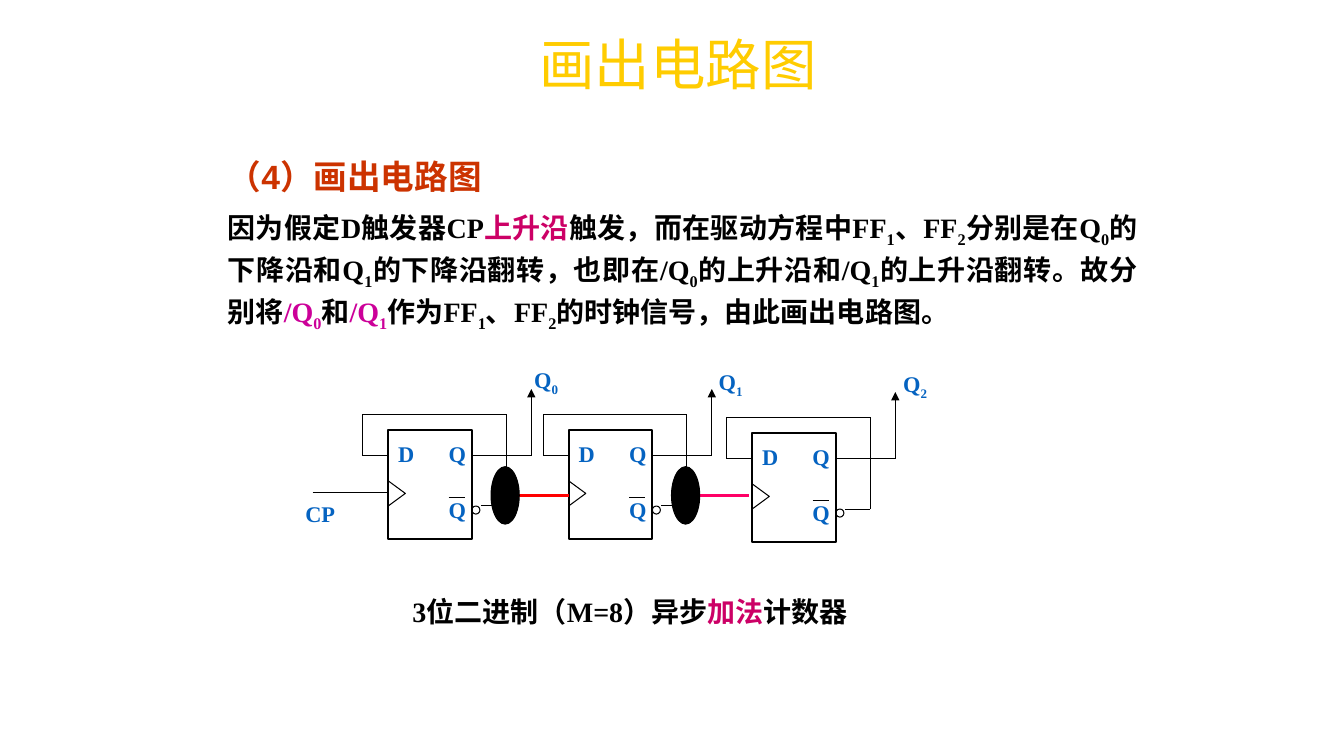
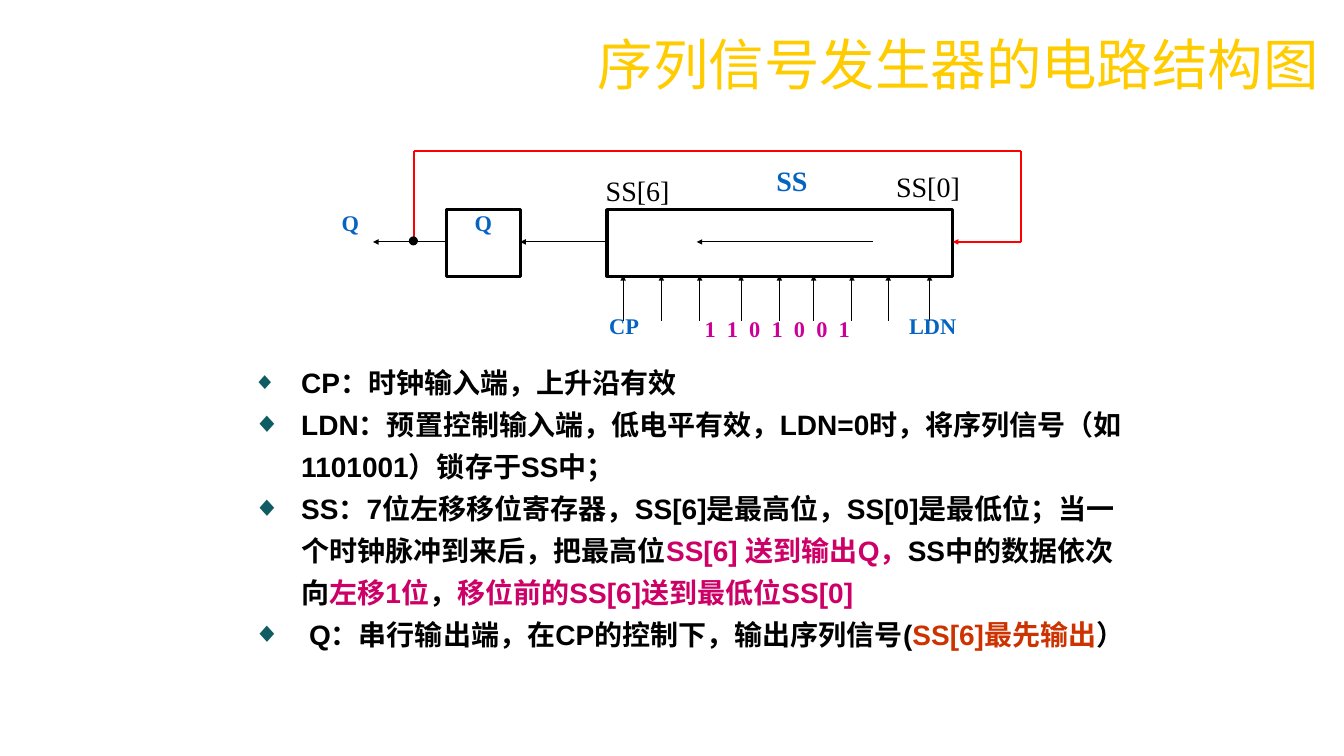
"""Build two slides on counters and sequence generators."""
import itertools

import lxml.etree
import pptx
import pptx.dml.color
import pptx.enum.shapes
import pptx.enum.text
import pptx.oxml.ns
import pptx.util

Inches = pptx.util.Inches
Pt = pptx.util.Pt
RGBColor = pptx.dml.color.RGBColor
Align = pptx.enum.text.PP_ALIGN
Anchor = pptx.enum.text.MSO_ANCHOR
Shape = pptx.enum.shapes.MSO_SHAPE
qn = pptx.oxml.ns.qn

GOLD = RGBColor(0xFF, 0xCC, 0x00)
BLACK = RGBColor(0x00, 0x00, 0x00)
WHITE = RGBColor(0xFF, 0xFF, 0xFF)
BLUE = RGBColor(0x05, 0x63, 0xC1)
RED = RGBColor(0xFF, 0x00, 0x00)
ROSE = RGBColor(0xFF, 0x00, 0x66)
RUST = RGBColor(0xCC, 0x33, 0x00)
PINK = RGBColor(0xCC, 0x00, 0x66)
PURPLE = RGBColor(0xCC, 0x00, 0x99)
SANS = "Arial"
SERIF = "Times New Roman"


def add(parent, tag, **attrs):
    node = lxml.etree.SubElement(parent, qn(tag))
    for key, value in attrs.items():
        node.set(key, value)
    return node


def write(par, text, size=16, color=BLUE, font=SERIF, bold=True, gap=None):
    """Write text in a paragraph, lowering the digit after each underscore."""
    head, *rest = text.split("_")
    parts = [(head, False)]
    for part in rest:
        parts += [(part[0], True), (part[1:], False)]
    for part, low in parts:
        if not part:
            continue
        run = par.add_run()
        run.text = part
        run.font.size = Pt(size)
        run.font.name = font
        run.font.bold = bold
        run.font.color.rgb = color
        props = run._r.get_or_add_rPr()
        if low:
            props.set("baseline", "-25000")
        if gap:
            props.set("spc", str(gap * 100))


class Deck:
    """Hold the style and the current slide."""

    def __init__(self):
        self.prs = pptx.Presentation()
        self.prs.slide_width = Inches(13.33)
        self.prs.slide_height = Inches(7.5)
        self.slide = None

    def start(self, title, left):
        self.slide = self.prs.slides.add_slide(self.prs.slide_layouts[5])
        shape = self.slide.shapes.title
        shape.left, shape.top = Inches(left), Inches(0.33)
        shape.width, shape.height = Inches(13.33 - left), Inches(0.67)
        frame = shape.text_frame
        frame.auto_size = pptx.enum.text.MSO_AUTO_SIZE.NONE
        frame.vertical_anchor = Anchor.MIDDLE
        par = frame.paragraphs[0]
        self.layout(par, Align.LEFT, 0.9)
        write(par, title, size=39.6, color=GOLD, font=SANS, bold=False)

    def layout(self, par, align, lead, before=0):
        par.alignment = align
        par.line_spacing = lead
        par.space_before = Pt(before)

    def frame(self, left, top, width, height):
        box = self.slide.shapes.add_textbox(
            Inches(left), Inches(top), Inches(width), Inches(height))
        box.text_frame.word_wrap = True
        return box.text_frame

    def label(self, text, left, top, width, height=0.34,
              align=Align.LEFT, lead=0.9, **style):
        par = self.frame(left, top, width, height).paragraphs[0]
        self.layout(par, align, lead)
        write(par, text, **style)

    def runs(self, par, runs, **style):
        for text, color in runs:
            write(par, text, color=color, **style)

    def bullet(self, par, scale):
        props = par._p.get_or_add_pPr()
        props.set("marL", str(Inches(0.48)))
        props.set("indent", str(-Inches(0.48)))
        add(add(props, "a:buClr"), "a:srgbClr", val="0F5C62")
        add(props, "a:buSzPct", val=str(scale * 1000))
        add(props, "a:buFont", typeface=SANS)
        add(props, "a:buChar", char="◆")

    def shape(self, kind, left, top, width, height, line=0.75, fill=None):
        item = self.slide.shapes.add_shape(
            kind, Inches(left), Inches(top), Inches(width), Inches(height))
        item.shadow.inherit = False
        item.line.color.rgb = BLACK
        item.line.width = Pt(line)
        if fill is None:
            item.fill.background()
        else:
            item.fill.solid()
            item.fill.fore_color.rgb = fill
        return item

    def wire(self, *points, color=BLACK, width=0.75, arrow=None):
        """Join the points with lines; arrow sets the size of the end head."""
        for start, end in itertools.pairwise(points):
            item = self.slide.shapes.add_connector(
                pptx.enum.shapes.MSO_CONNECTOR.STRAIGHT,
                *(Inches(value) for value in (*start, *end)))
            item.line.color.rgb = color
            item.line.width = Pt(width)
            if arrow and end == points[-1]:
                add(item.line._get_or_add_ln(), "a:tailEnd",
                    type="triangle", w=arrow, len=arrow)
            add(item._element.spPr, "a:effectLst")

    def flip(self, x, y):
        """Draw a D flip-flop with its feedback loop and output arrow."""
        self.shape(Shape.RECTANGLE, x, y, 0.83, 1.08, line=1.5)
        self.label("D", x, y + 0.08, 0.33)
        for drop in (0.08, 0.63):
            self.label("Q", x + 0.5, y + drop, 0.42)
        self.wire((x + 0.6, y + 0.67), (x + 0.76, y + 0.67))
        self.shape(Shape.OVAL, x + 0.83, y + 0.75, 0.08, 0.08)
        clock = self.shape(Shape.ISOSCELES_TRIANGLE,
                           x - 0.04, y + 0.54, 0.25, 0.17)
        clock.rotation = 90
        self.wire((x + 0.92, y + 0.75), (x + 1.17, y + 0.75),
                  (x + 1.17, y - 0.16), (x - 0.25, y - 0.16),
                  (x - 0.25, y + 0.25), (x, y + 0.25))
        self.wire((x + 0.83, y + 0.25), (x + 1.42, y + 0.25),
                  (x + 1.42, y - 0.41), arrow="med")


def counter(deck):
    deck.start("画出电路图", 5.25)
    cells = [(3.85, 4.27), (5.64, 4.27), (7.46, 4.3)]
    for i, (x, y) in enumerate(cells):
        deck.flip(x, y)
        deck.label(f"Q_{i}", 5.2 + 1.83 * i, 3.59 + 0.02 * i, 0.59)
    for (x, _), color in zip(cells, (RED, ROSE)):
        deck.wire((x + 1.17, 4.92), (x + 1.79, 4.92), color=color, width=2.25)
        deck.shape(Shape.OVAL, x + 1.02, 4.63, 0.28, 0.57, fill=BLACK)
    deck.wire((3.1, 4.89), (3.85, 4.89))
    deck.label("CP", 2.93, 4.94, 0.67)

    par = deck.frame(3.21, 5.89, 6.08, 0.4).paragraphs[0]
    deck.layout(par, Align.CENTER, 0.9)
    deck.runs(par, [("3位二进制（M=8）异步", BLACK), ("加法", PINK),
                    ("计数器", BLACK)], size=20)

    frame = deck.frame(2.16, 1.54, 9.22, 1.74)
    head = frame.paragraphs[0]
    deck.layout(head, Align.JUSTIFY, 0.9)
    write(head, "（4）画出电路图", size=24, color=RUST, font=SANS)
    body = frame.add_paragraph()
    deck.layout(body, Align.JUSTIFY, 1.1, 7)
    deck.runs(body, [
        ("因为假定D触发器CP", BLACK), ("上升沿", PINK),
        ("触发，而在驱动方程中FF_1、FF_2分别是在Q_0的下降沿和Q_1的下降沿翻转，"
         "也即在/Q_0的上升沿和/Q_1的上升沿翻转。故分别将", BLACK),
        ("/Q_0", PURPLE), ("和", BLACK), ("/Q_1", PURPLE),
        ("作为FF_1、FF_2的时钟信号，由此画出电路图。", BLACK)], size=20)


def series(deck):
    deck.start("序列信号发生器的电路结构图", 5.83)
    notes = [
        [("CP：时钟输入端，上升沿有效", BLACK)],
        [("LDN：预置控制输入端，低电平有效，LDN=0时，将序列信号"
          "（如1101001）锁存于SS中；", BLACK)],
        [("SS：7位左移移位寄存器，SS[6]是最高位，SS[0]是最低位；"
          "当一个时钟脉冲到来后，把最高位", BLACK),
         ("SS[6] 送到输出Q，", PINK), ("SS中的数据依次向", BLACK),
         ("左移1位", PINK), ("，", BLACK),
         ("移位前的SS[6]送到最低位SS[0]", PINK)],
        [(" Q：串行输出端，在CP的控制下，输出序列信号(", BLACK),
         ("SS[6]最先输出", RUST), ("）", BLACK)],
    ]
    frame = deck.frame(2.41, 3.41, 8.86, 3.13)
    for i, runs in enumerate(notes):
        par = frame.add_paragraph() if i else frame.paragraphs[0]
        deck.bullet(par, 100 if i else 85)
        deck.layout(par, Align.LEFT, Pt(30) if i else 1.5)
        deck.runs(par, runs, size=20, font=SANS)

    deck.shape(Shape.RECTANGLE, 6.02, 2.08, 3.43, 0.66, line=2.25, fill=WHITE)
    latch = deck.shape(Shape.RECTANGLE, 4.43, 2.08, 0.73, 0.66, line=2.25)
    latch.text_frame.vertical_anchor = Anchor.TOP
    par = latch.text_frame.paragraphs[0]
    deck.layout(par, Align.CENTER, 0.8)
    write(par, "Q")

    for x in (6.18, 6.56, 6.94, 7.35, 7.73, 8.07, 8.45, 8.81, 9.22):
        deck.wire((x, 3.18), (x, 2.73), arrow="sm")
    for start, end in ((6.02, 5.16), (8.66, 6.91), (4.43, 3.7)):
        deck.wire((start, 2.4), (end, 2.4), arrow="sm")
    deck.wire((4.11, 2.4), (4.11, 1.5), (10.13, 1.5), (10.13, 2.4),
              (9.45, 2.4), color=RED, width=1.5, arrow="sm")
    deck.shape(Shape.OVAL, 4.06, 2.35, 0.08, 0.08, fill=BLACK)

    deck.label("1 1 0 1 0 0 1", 6.18, 3.07, 3.06, 0.66, align=Align.CENTER,
               lead=1.04, color=PURPLE, gap=2)
    for text, x, y, width, size in (
            ("SS", 7.2, 1.64, 1.31, 20), ("Q", 3.11, 2.08, 0.73, 16),
            ("CP", 5.68, 3.1, 1.02, 16), ("LDN", 8.74, 3.1, 1.02, 16)):
        deck.label(text, x, y, width, 0.66, align=Align.CENTER, lead=0.8,
                   size=size)
    for text, x, y in (("SS[6]", 5.84, 1.71), ("SS[0]", 8.72, 1.67)):
        deck.label(text, x, y, 0.9, 0.4, align=Align.RIGHT, size=20,
                   color=BLACK, bold=False)


def main():
    deck = Deck()
    counter(deck)
    series(deck)
    deck.prs.save("out.pptx")


if __name__ == "__main__":
    main()
